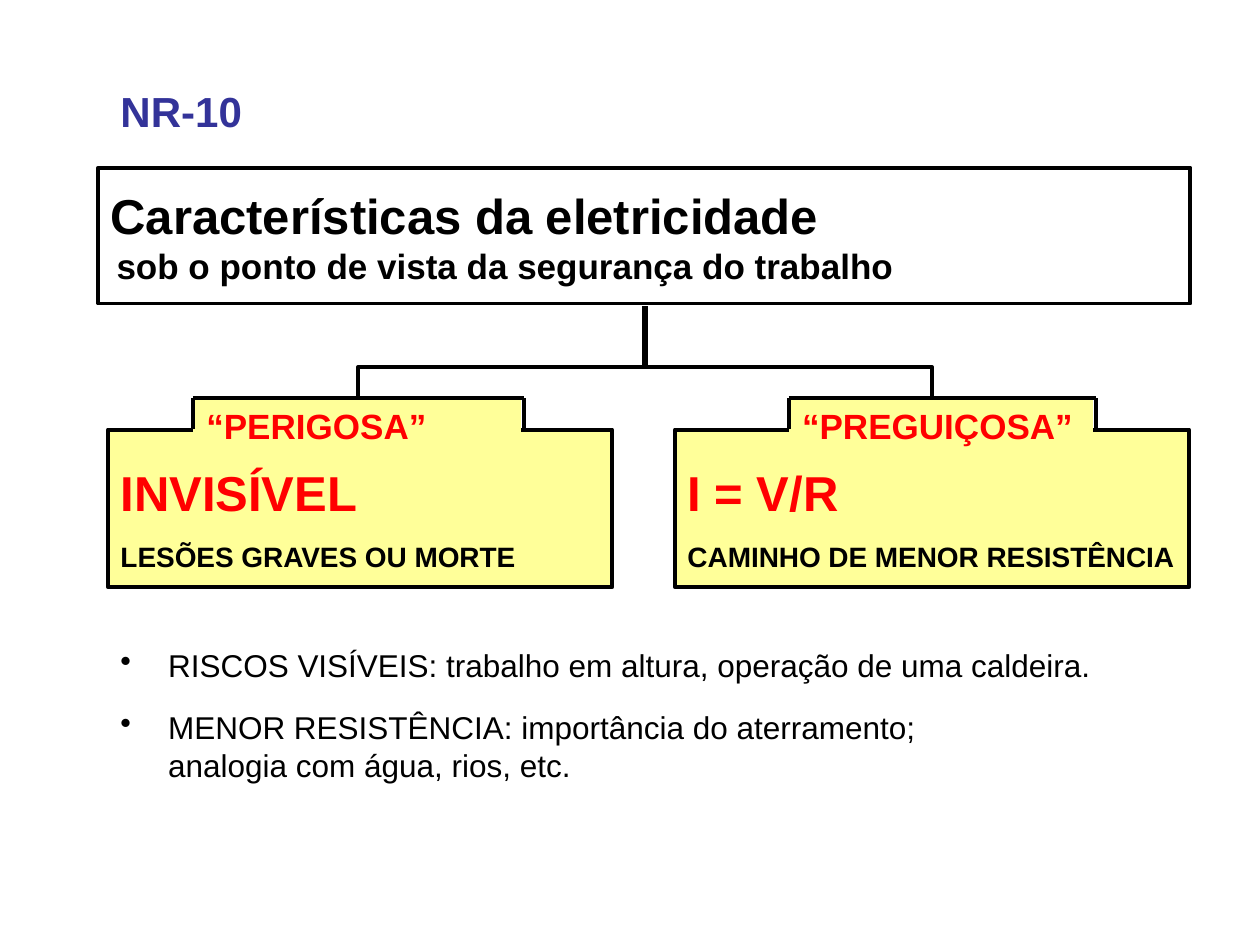
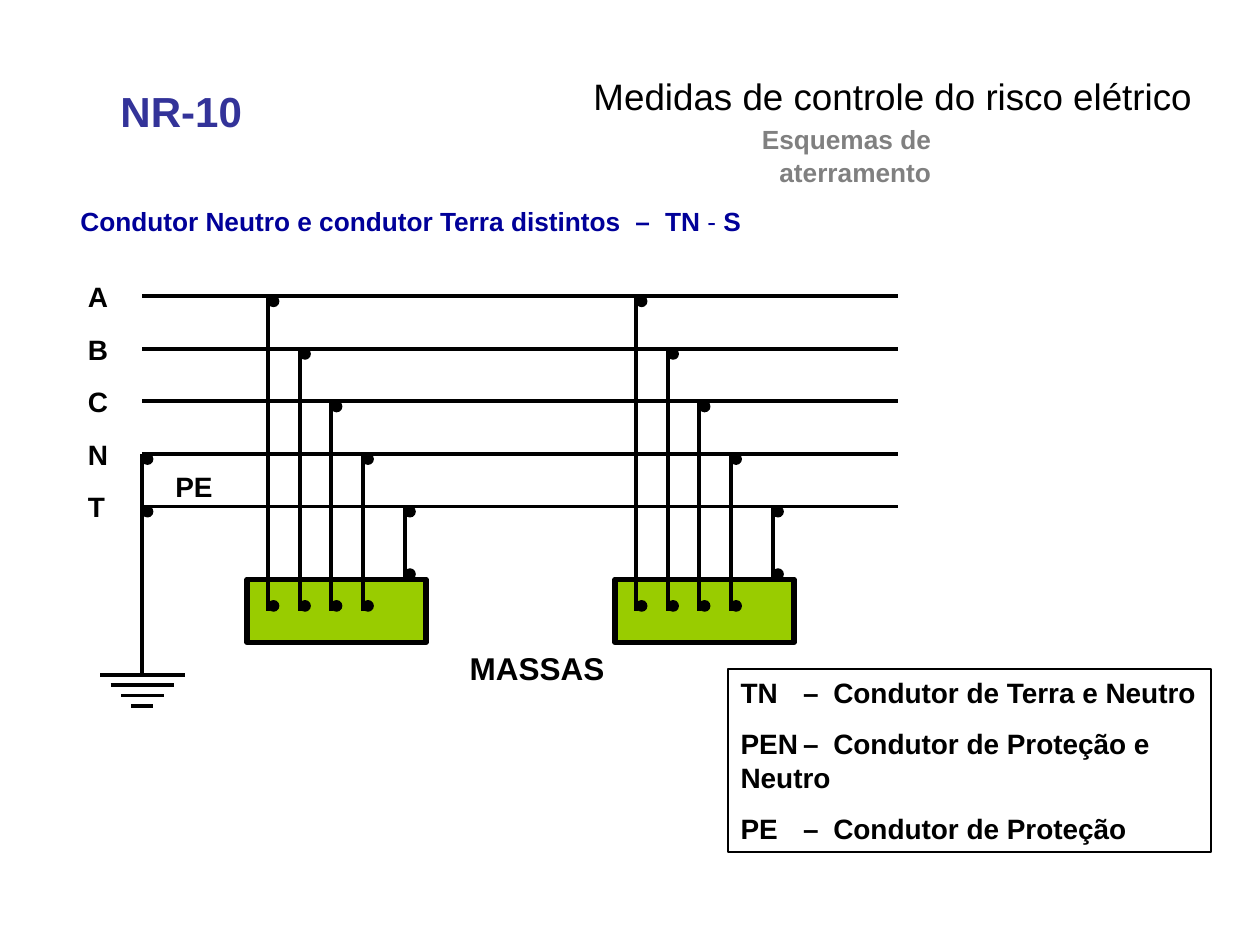
"""Build two NR-10 slides on electrical risk and TN-S earthing."""
from lxml import etree
from pptx import Presentation
from pptx.dml.color import RGBColor
from pptx.enum.shapes import MSO_CONNECTOR, MSO_SHAPE
from pptx.enum.text import MSO_ANCHOR, PP_ALIGN
from pptx.oxml.ns import qn
from pptx.util import Cm, Pt

RECT, OVAL = MSO_SHAPE.RECTANGLE, MSO_SHAPE.OVAL
STRAIGHT, ELBOW = MSO_CONNECTOR.STRAIGHT, MSO_CONNECTOR.ELBOW
TOP, MIDDLE, BOTTOM = MSO_ANCHOR.TOP, MSO_ANCHOR.MIDDLE, MSO_ANCHOR.BOTTOM
LEFT, RIGHT = PP_ALIGN.LEFT, PP_ALIGN.RIGHT
BLACK = RGBColor(0x00, 0x00, 0x00)
WHITE = RGBColor(0xFF, 0xFF, 0xFF)
RED = RGBColor(0xFF, 0x00, 0x00)
YELLOW = RGBColor(0xFF, 0xFF, 0x99)
GREEN = RGBColor(0x99, 0xCC, 0x00)
GRAY = RGBColor(0x80, 0x80, 0x80)
INDIGO = RGBColor(0x33, 0x33, 0x99)
NAVY = RGBColor(0x00, 0x00, 0x99)
FONT = "Arial"


def box(page, at, rows=(), form=None, fill=None, edge=None, thick=0.75, anchor=TOP,
        wrap=True, align=LEFT, bold=True, bullet=False, tabs=(), inset=0.13):
    at = [Cm(n) for n in at]
    if form is None:
        shape = page.shapes.add_textbox(*at)
    else:
        shape = page.shapes.add_shape(form, *at)
        shape.shadow.inherit = False
        if fill is None:
            shape.fill.background()
        else:
            shape.fill.solid()
            shape.fill.fore_color.rgb = fill
        if edge is None:
            shape.line.fill.background()
        else:
            shape.line.color.rgb = edge
            shape.line.width = Pt(thick)
    frame = shape.text_frame
    frame.word_wrap, frame.vertical_anchor = wrap, anchor
    frame.margin_top = Cm(inset)
    for i, (text, size, color) in enumerate(rows):
        para = frame.add_paragraph() if i else frame.paragraphs[0]
        para.text = text
        para.alignment = align
        props = para._p.get_or_add_pPr()
        if bullet:
            props.set("marL", str(Cm(0.96)))
            props.set("indent", str(-Cm(0.96)))
            etree.SubElement(props, qn("a:buChar")).set("char", "•")
        if tabs:
            stops = etree.SubElement(props, qn("a:tabLst"))
            for stop in tabs:
                etree.SubElement(stops, qn("a:tab"), pos=str(Cm(stop)), algn="l")
        font = para.font
        font.name, font.size, font.bold = FONT, Pt(size), bold
        font.color.rgb = color
    return shape


def wire(page, x1, y1, x2, y2, kind=STRAIGHT):
    link = page.shapes.add_connector(kind, Cm(x1), Cm(y1), Cm(x2), Cm(y2))
    link.line.color.rgb = BLACK
    link.line.width = Pt(2.25)
    etree.SubElement(link._element.spPr, qn("a:effectLst"))
    return link


deck = Presentation()
deck.slide_width, deck.slide_height = Cm(25.4), Cm(19.05)
traits, earth = [deck.slides.add_slide(deck.slide_layouts[6]) for _ in range(2)]
for page in (traits, earth):
    box(page, (2.18, 1.6, 3.18, 1.27), [("NR-10", 24, INDIGO)])

notes = box(traits, (2.18, 12.9, 21.8, 2.74), [
    ("RISCOS VISÍVEIS: trabalho em altura, operação de uma caldeira.", 18, BLACK),
    ("MENOR RESISTÊNCIA: importância do aterramento;\nanalogia com água, rios, etc.", 18, BLACK),
], bold=False, bullet=True).text_frame.paragraphs
notes[0].space_after = Pt(9)
notes[1].space_before = Pt(4.5)

head = box(traits, (1.98, 3.38, 22.02, 2.74), [
    ("Características da eletricidade", 28, BLACK),
    ("sob o ponto de vista da segurança do trabalho", 20, BLACK),
], RECT, WHITE, BLACK, 2.25, MIDDLE, wrap=False)
head.text_frame.paragraphs[1]._p.get_or_add_pPr().set("marL", str(Cm(0.12)))

for x1, x2, turn in ((17.12, 14.66, 270), (8.89, 11.35, 90)):
    link = wire(traits, x1, 4.5, x2, 10.3, ELBOW)
    link._element.spPr.find(qn("a:xfrm")).set("rot", str(turn * 60000))

for x, wide, left, right, tall, tag, fact, note in (
    (2.18, 10.16, 3.89, 10.57, 1.07, "“PERIGOSA”", "INVISÍVEL", "LESÕES GRAVES OU MORTE"),
    (13.61, 10.36, 15.9, 22.1, 1.27, "“PREGUIÇOSA”", "I = V/R", "CAMINHO DE MENOR RESISTÊNCIA"),
):
    panel = box(traits, (x, 8.66, wide, 3.18), [(fact, 28, RED), (note, 16, BLACK)],
                RECT, YELLOW, BLACK, 2.25, MIDDLE, wrap=False, inset=0.51)
    panel.text_frame.paragraphs[1].space_before = Pt(10.3)
    box(traits, (left + 0.02, 8.03, right - left - 0.1, tall), [(tag, 20, RED)],
        RECT, YELLOW, YELLOW)
    wire(traits, left, 8.03, right, 8.03)
    for side in (left, right):
        wire(traits, side, 8.03, side, 8.64)

heads = [
    box(earth, (11.71, 1.57, 12.57, 0.94), [("Medidas de controle do risco elétrico", 21, BLACK)],
        anchor=BOTTOM, wrap=False, align=RIGHT, bold=False),
    box(earth, (11.91, 2.97, 7.11, 0.94), [("Esquemas de aterramento", 15, GRAY)],
        anchor=BOTTOM, wrap=False, align=RIGHT),
    box(earth, (1.37, 3.96, 13.84, 0.94), [("", 15, NAVY)], anchor=BOTTOM, tabs=(11.19, 11.79)),
]
for shape in heads:
    para = shape.text_frame.paragraphs[0]
    para.line_spacing, para.space_after = Pt(19), Pt(3)
for text in ("Condutor Neutro e condutor Terra distintos\t–\tTN ", "-", " S"):
    run = para.add_run()
    run.text = text
    if text == "-":
        run.font.bold = False

DOT, START, END = 0.21, 2.87, 18.11
rails = [5.97 + 1.06 * i for i in range(5)]
dots = [(START, y) for y in rails[3:]]
for x in (4.98, 12.4):
    box(earth, (x, 11.68, 3.61, 1.27), form=RECT, fill=GREEN, edge=BLACK, thick=3)
    taps = [(x + 0.43 + 0.635 * i, y, 12.32) for i, y in enumerate(rails[:4])]
    taps.append((x + 3.18, rails[4], 11.68))
    for tap, y, foot in taps:
        wire(earth, tap, y, tap, foot)
        dots += [(tap, y), (tap, foot - DOT)]
for name, y in zip("ABCNT", rails):
    wire(earth, START, y, END, y)
    box(earth, (1.4, y - 0.42, 0.85, 0.85), [(name, 16, BLACK)], OVAL, anchor=MIDDLE, wrap=False)
box(earth, (3.07, 9.37, 1.48, 0.85), [("PE", 16, BLACK)], OVAL, anchor=MIDDLE, wrap=False)
wire(earth, START, rails[3], START, 13.6)
for i in range(4):
    half, y = 0.85 - 0.21 * i, 13.6 + 0.21 * i
    wire(earth, START - half, y, START + half, y)
for x, y in dots:
    box(earth, (x, y, DOT, DOT), form=OVAL, fill=BLACK, edge=BLACK)

box(earth, (9.22, 12.95, 3.28, 1.02), [("MASSAS", 18, BLACK)])
key = box(earth, (14.68, 13.49, 9.73, 3.68), [
    ("TN\t–\tCondutor de Terra e Neutro", 16, BLACK),
    ("PEN\t–\tCondutor de Proteção e Neutro", 16, BLACK),
    ("PE\t–\tCondutor de Proteção", 16, BLACK),
], RECT, WHITE, BLACK, 1, tabs=(1.26, 1.87))
for para in key.text_frame.paragraphs:
    para.space_after = Pt(10)

deck.save("out.pptx")
